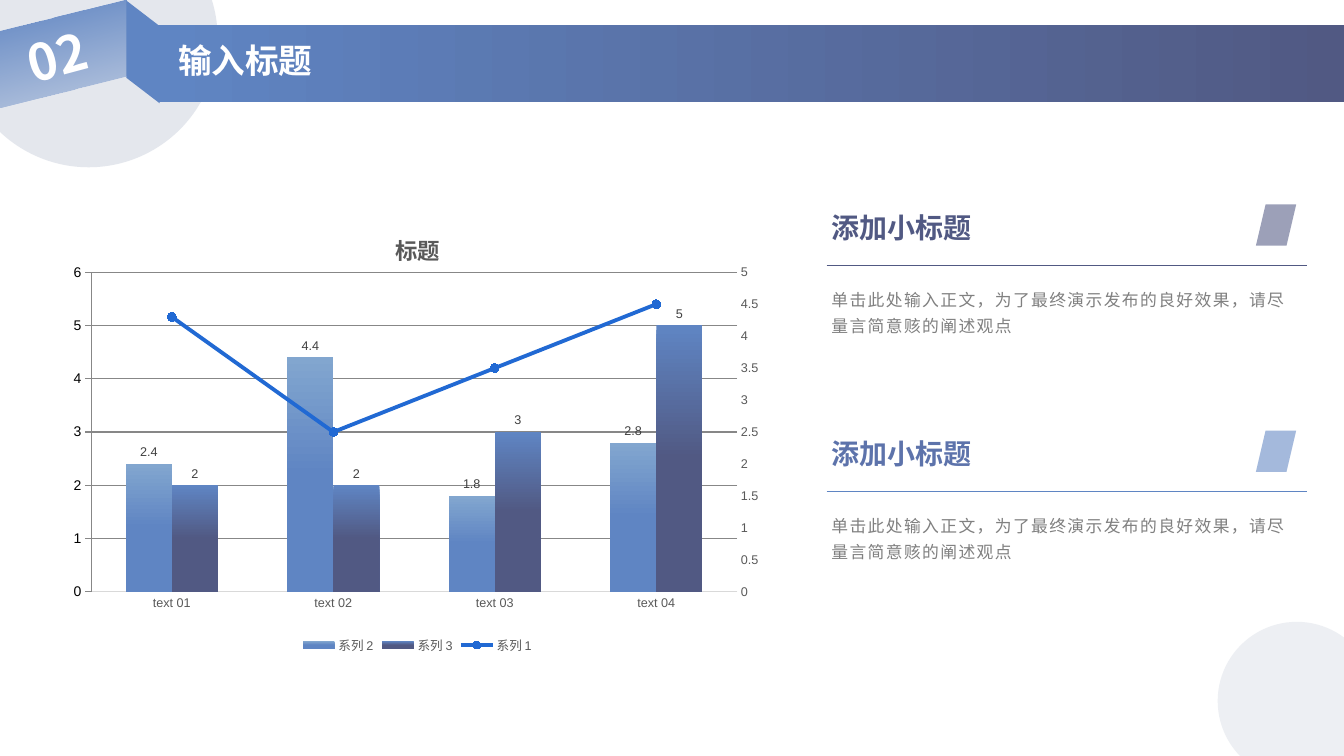
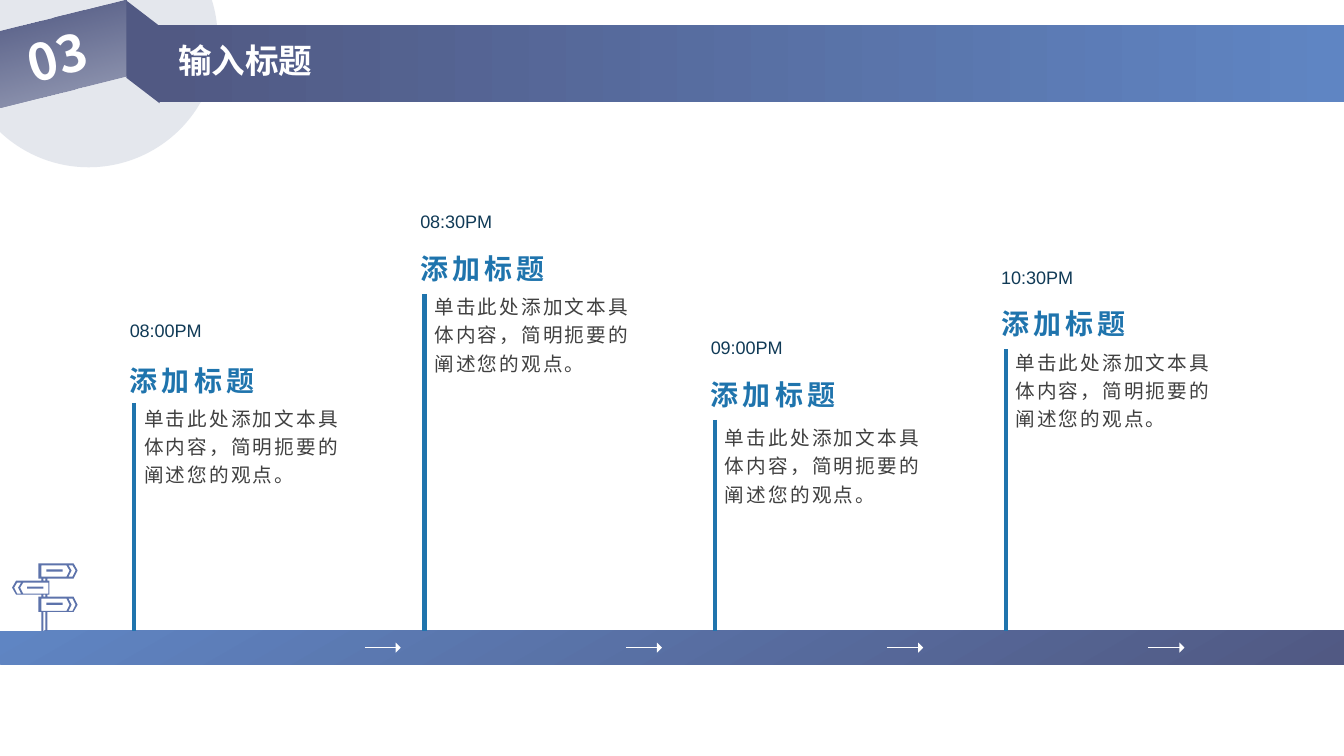
from pptx import Presentation
from pptx import util as u
from pptx.chart import axis, data
from pptx.dml.color import RGBColor
from pptx.enum import chart as ch, shapes, text
from pptx.oxml import parse_xml
from pptx.oxml.ns import nsdecls, qn

Pt = u.Pt
MSO = shapes.MSO_SHAPE
CJK, LATIN = "Noto Sans CJK SC", "Arial"
COLORS = {
    "blue": "5F85C3", "navy": "515983", "sky": "82A6CF", "iris": "5D73AB",
    "mist": "A6B1C6", "white": "FFFFFF", "gray": "808080", "dark": "404040",
    "axis": "595959", "grid": "D9D9D9", "line": "2169D3", "teal": "1F74AD",
    "time": "103A56", "black": "000000",
}

SECONDARY_PLOT = f"""<c:lineChart {nsdecls('c')}><c:grouping val="standard"/>
<c:varyColors val="0"/><c:marker val="1"/>
<c:axId val="50010"/><c:axId val="50020"/></c:lineChart>"""
SECONDARY_CATS = f"""<c:catAx {nsdecls('c')}><c:axId val="50010"/>
<c:scaling><c:orientation val="minMax"/></c:scaling><c:delete val="1"/>
<c:axPos val="b"/><c:crossAx val="50020"/><c:crosses val="autoZero"/></c:catAx>"""
SECONDARY_VALS = f"""<c:valAx {nsdecls('c')}><c:axId val="50020"/>
<c:scaling><c:orientation val="minMax"/></c:scaling><c:delete val="0"/>
<c:axPos val="r"/><c:numFmt formatCode="General" sourceLinked="0"/>
<c:majorTickMark val="out"/><c:minorTickMark val="none"/><c:tickLblPos val="nextTo"/>
<c:crossAx val="50010"/><c:crosses val="max"/></c:valAx>"""
PLOT_LAYOUT = f"""<c:layout {nsdecls('c')}><c:manualLayout>
<c:layoutTarget val="inner"/><c:xMode val="edge"/><c:yMode val="edge"/>
<c:x val="0.039"/><c:y val="0.132"/><c:w val="0.913"/><c:h val="0.719"/>
</c:manualLayout></c:layout>"""


def rgb(name):
    return RGBColor.from_string(COLORS[name])


def style_font(font, color, **fmt):
    for key, value in fmt.items():
        setattr(font, key, value)
    font.color.rgb = rgb(color)


def paint(fill, color, angle=0, end=1):
    """Fill with one colour, or with a pair as a gradient (clockwise angle)."""
    if isinstance(color, str):
        fill.solid()
        fill.fore_color.rgb = rgb(color)
        return
    fill.gradient()
    fill.gradient_angle = (360 - angle) % 360
    for stop, name, pos in zip(fill.gradient_stops, color, (0, end)):
        stop.color.rgb = rgb(name)
        stop.position = pos


class Deck:
    def __init__(self):
        self.prs = Presentation()
        self.prs.slide_width, self.prs.slide_height = Pt(960), Pt(540)
        self.s = None

    def shape(self, kind, x, y, w, h, color, angle=0, alpha=None, rot=0, adj=None):
        sp = self.s.shapes.add_shape(kind, Pt(x), Pt(y), Pt(w), Pt(h))
        sp.shadow.inherit = False
        sp.rotation = rot
        if adj is not None:
            sp.adjustments[0] = adj
        paint(sp.fill, color, angle)
        sp.line.fill.background()
        if alpha:
            first = next(sp._element.spPr.iter(qn("a:srgbClr")))
            first.append(parse_xml(f'<a:alpha {nsdecls("a")} val="{alpha * 1000}"/>'))

    def text(self, x, y, w, h, words, size, color, font=CJK, bold=False, spacing=None,
             track=0, rot=0, top=3.6, grow=True, anchor=text.MSO_ANCHOR.TOP):
        sp = self.s.shapes.add_textbox(Pt(x), Pt(y), Pt(w), Pt(h))
        sp.rotation = rot
        tf = sp.text_frame
        auto = text.MSO_AUTO_SIZE
        frame = {"word_wrap": True, "margin_top": Pt(top), "vertical_anchor": anchor,
                 "auto_size": auto.SHAPE_TO_FIT_TEXT if grow else auto.NONE}
        for key, value in frame.items():
            setattr(tf, key, value)
        p = tf.paragraphs[0]
        p.line_spacing = spacing
        r = p.add_run()
        r.text = words
        style_font(r.font, color, size=Pt(size), bold=bold, name=font)
        rpr = r.font._element
        rpr.append(parse_xml(f'<a:ea {nsdecls("a")} typeface="{CJK}"/>'))
        if track:
            rpr.set("spc", str(int(track * 100)))

    def line(self, x1, y1, x2, y2, color, width):
        cx = self.s.shapes.add_connector(
            shapes.MSO_CONNECTOR.STRAIGHT, Pt(x1), Pt(y1), Pt(x2), Pt(y2))
        cx.line.color.rgb = rgb(color)
        cx.line.width = Pt(width)
        cx._element.spPr.append(parse_xml(f'<a:effectLst {nsdecls("a")}/>'))

    def outline(self, contours, color, unit):
        """One filled shape from several closed contours; inner ones are holes."""
        fb = self.s.shapes.build_freeform(*contours[0][0], scale=Pt(unit))
        for i, points in enumerate(contours):
            if i:
                fb.move_to(*points[0])
            fb.add_line_segments(points[1:], close=True)
        sp = fb.convert_to_shape()
        sp.shadow.inherit = False
        paint(sp.fill, color)
        sp.line.fill.background()

    def new_slide(self, number, title, start, end, tag_alpha):
        """Blank slide with the numbered ribbon header."""
        self.s = self.prs.slides.add_slide(self.prs.slide_layouts[6])
        self.shape(MSO.OVAL, -28.8, -64.8, 184.3, 184.3, "mist", alpha=30)
        self.shape(MSO.PARALLELOGRAM, 65.5, 25.2, 73.4, 23.8, start, rot=270, adj=0.766)
        self.shape(MSO.PARALLELOGRAM, -7.9, 11.5, 106.6, 53.3, (start, start),
                   angle=270, alpha=tag_alpha, rot=346)
        self.shape(MSO.RECTANGLE, 113, 18, 847, 55, (start, end))
        self.text(12.2, 11.5, 79.2, 51.1, number, 36, "white", bold=True, rot=345,
                  anchor=text.MSO_ANCHOR.MIDDLE)
        self.text(120.2, 25.2, 330, 36, title, 24, "white", bold=True)

    def combo_chart(self, x, y, w, h, title, cats, series):
        """Clustered columns, with the last series as a line on a right axis."""
        cd = data.CategoryChartData()
        cd.categories = cats
        for name, values in series:
            cd.add_series(name, values)
        chart = self.s.shapes.add_chart(
            ch.XL_CHART_TYPE.COLUMN_CLUSTERED, Pt(x), Pt(y), Pt(w), Pt(h), cd).chart
        style_font(chart.font, "black", size=Pt(10), name=LATIN)
        small = {"size": Pt(9), "name": LATIN}

        # Title and legend
        chart.has_title = True
        p = chart.chart_title.text_frame.paragraphs[0]
        r = p.add_run()
        r.text = title
        style_font(r.font, "axis", size=Pt(16), bold=True, name=LATIN)
        chart.has_legend = True
        chart.legend.position = ch.XL_LEGEND_POSITION.BOTTOM
        chart.legend.include_in_layout = False
        style_font(chart.legend.font, "axis", **small)

        # Move the last series to a second plot
        bar = chart.plots[0]._element
        area = bar.getparent()
        ser = bar.findall(qn("c:ser"))[-1]
        for flag in ser.findall(qn("c:invertIfNegative")):
            ser.remove(flag)
        line_plot = parse_xml(SECONDARY_PLOT)
        line_plot.find(qn("c:varyColors")).addnext(ser)
        bar.addnext(line_plot)
        right = parse_xml(SECONDARY_VALS)
        last = area.find(qn("c:valAx"))
        last.addnext(right)
        last.addnext(parse_xml(SECONDARY_CATS))
        for old in area.findall(qn("c:layout")):
            area.remove(old)
        area.insert(0, parse_xml(PLOT_LAYOUT))

        # Axes
        cat_ax, val_ax, right_ax = chart.category_axis, chart.value_axis, axis.ValueAxis(right)
        none = ch.XL_TICK_MARK.NONE
        for ax in (cat_ax, val_ax, right_ax):
            style_font(ax.tick_labels.font, "axis", **small)
        cat_ax.major_tick_mark = val_ax.major_tick_mark = none
        cat_ax.format.line.color.rgb = rgb("grid")
        cat_ax.format.line.width = Pt(1)
        for ax, top, step in ((val_ax, 6, 1), (right_ax, 5, 0.5)):
            ax.minimum_scale, ax.maximum_scale, ax.major_unit = 0, top, step
            ax.format.line.fill.background()
        val_ax.has_major_gridlines = True
        grid = val_ax.major_gridlines.format.line
        grid.color.rgb, grid.width = rgb("grid"), Pt(0.75)

        # Columns
        columns, lines = chart.plots
        columns.gap_width, columns.overlap = 150, 0
        columns.vary_by_categories = False
        for ser, pair in zip(columns.series, (("sky", "blue"), ("blue", "navy"))):
            paint(ser.format.fill, pair, angle=90, end=0.5)
            dl = ser.data_labels
            dl.show_value = True
            dl.position = ch.XL_LABEL_POSITION.OUTSIDE_END
            style_font(dl.font, "dark", **small)

        # Line
        ser = lines.series[0]
        ser.smooth = False
        ser.format.line.color.rgb = rgb("line")
        ser.format.line.width = Pt(2.75)
        ser.marker.style, ser.marker.size = ch.XL_MARKER_STYLE.CIRCLE, 6
        paint(ser.marker.format.fill, "line")
        ser.marker.format.line.color.rgb = rgb("line")


def box(x1, y1, x2, y2):
    return [(x1, y1), (x2, y1), (x2, y2), (x1, y2)]


def signpost():
    """Contours of a post with three signs, in hundredths of an inch."""
    sign = [box(46, 6, 62, 8),
            [(68, 2), (71, 7), (68, 13), (72, 13), (75, 7), (72, 2)],
            [(41, 2), (41, 13), (66, 13), (69, 7), (66, 2)]]
    edge = [(38, 559), (73, 559), (77, 566), (73, 574), (47, 574), (47, 576), (49, 576),
            (49, 590), (47, 590), (47, 592), (73, 592), (77, 600), (73, 607), (47, 607),
            (47, 626), (45, 626), (45, 607), (43, 607), (43, 626), (41, 626), (41, 607),
            (38, 607), (38, 592), (41, 592), (41, 590), (16, 590), (12, 583), (16, 576),
            (41, 576), (41, 574), (38, 574)]
    contours = [edge, box(43, 574, 45, 576), box(43, 590, 45, 592)]
    for top, mirrored in ((559, False), (576, True), (592.5, False)):
        contours += [[(89 - x if mirrored else x, top + y) for x, y in part] for part in sign]
    return contours


def main():
    deck = Deck()

    # Slide 1: chart with two remarks
    deck.new_slide("02", "输入标题", "blue", "navy", 30)
    deck.shape(MSO.OVAL, 869.8, 444.2, 113, 113, "mist", alpha=20)
    deck.combo_chart(45.4, 152.6, 505.4, 317.5, "标题",
                     [f"text 0{i}" for i in range(1, 5)],
                     [("系列 2", (2.4, 4.4, 1.8, 2.8)), ("系列 3", (2, 2, 3, 5)),
                      ("系列 1", (4.3, 2.5, 3.5, 4.5))])
    for i, (accent, heading) in enumerate((("navy", "navy"), ("blue", "iris"))):
        y = 146.6 + 161.5 * i
        deck.text(586.8, y, 223, 31.7, "添加小标题", 20, heading, bold=True)
        deck.text(586.8, y + 52.3, 346.3, 44.6,
                  "单击此处输入正文，为了最终演示发布的良好效果，请尽量言简意赅的阐述观点",
                  12, "gray", spacing=1.3, track=1)
        deck.shape(MSO.PARALLELOGRAM, 897.1, y - 0.6, 28.8, 29.5, accent, alpha=57, adj=0.241)
        deck.line(590.4, y + 42.9, 933.8, y + 42.9, accent, 0.9)

    # Slide 2: timeline
    deck.new_slide("03", "输入标题", "navy", "blue", 51)
    deck.shape(MSO.RECTANGLE, 0, 450.5, 960, 24, ("blue", "navy"), angle=60)
    for i in range(4):
        x = 260.4 + 186.6 * i
        deck.line(x, 462.6, x + 25.4, 462.6, "white", 1)
        deck.shape(MSO.ISOSCELES_TRIANGLE, x + 20.4, 460.8, 7.2, 3.6, "white", rot=90)
    milestones = [("08:00PM", 251.3, 287.3, 1.2), ("08:30PM", 173.5, 207.4, 1.1),
                  ("09:00PM", 263.5, 301, 1.1), ("10:30PM", 213.1, 247, 1.1)]
    for i, (time, y, body_y, spacing) in enumerate(milestones):
        x = 85.6 + 207.5 * i
        deck.line(x + 10.2, y + 36.4, x + 10.2, 450.7, "teal", 3)
        deck.text(x + 10.2, body_y, 156.2, 80.6, "单击此处添加文本具体内容，简明扼要的阐述您的观点。",
                  14, "dark", LATIN, spacing=1.2, track=1.5, top=0, grow=False)
        deck.text(x, y - 26.4, 166.3, 24.5, time, 12.9, "time", LATIN, grow=False)
        deck.text(x, y, 166.3, 33.8, "添加标题", 20, "teal", LATIN, bold=True,
                  spacing=spacing, track=3, grow=False)
    deck.outline(signpost(), "iris", 0.72)

    deck.prs.save("out.pptx")


if __name__ == "__main__":
    main()
